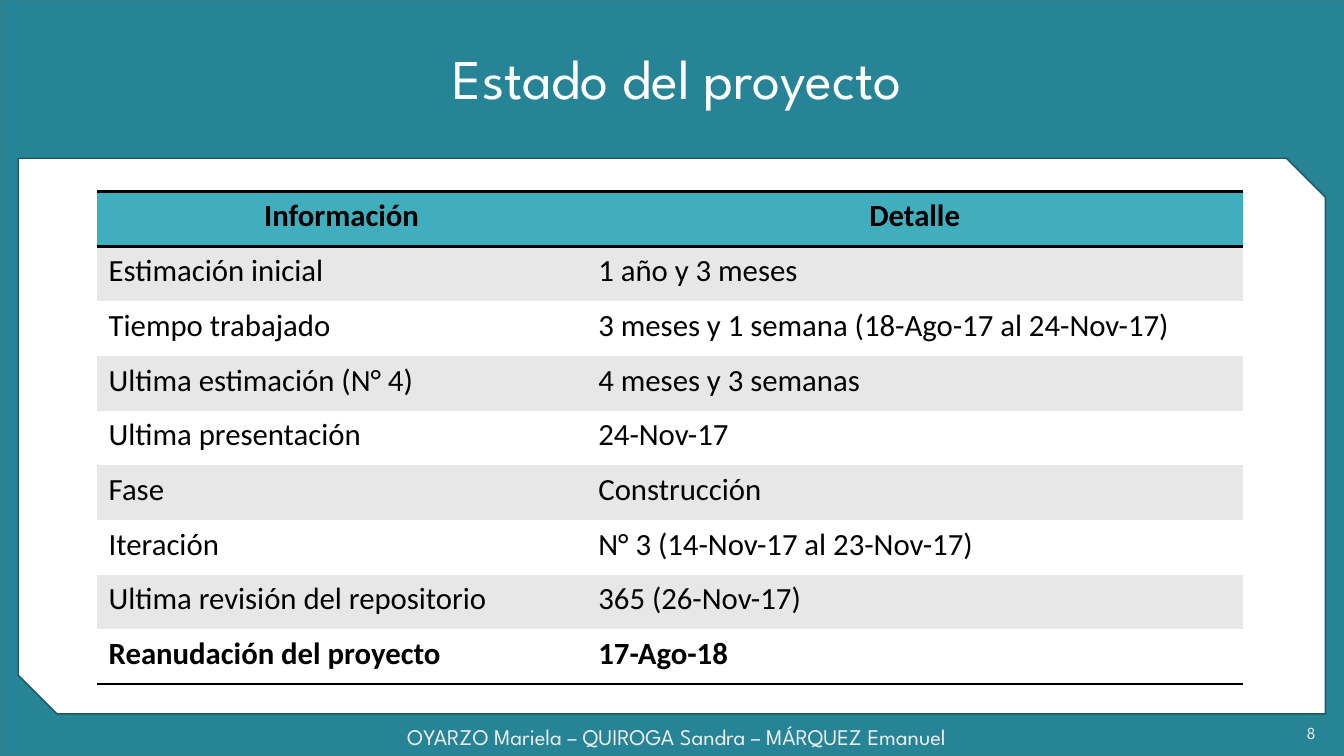
import dataclasses

import lxml.etree
import pptx
import pptx.dml.color
import pptx.enum.shapes
import pptx.enum.text
import pptx.oxml.ns
import pptx.util

Cm = pptx.util.Cm
Pt = pptx.util.Pt
qn = pptx.oxml.ns.qn
Align = pptx.enum.text.PP_ALIGN
Shape = pptx.enum.shapes.MSO_SHAPE


@dataclasses.dataclass(frozen=True)
class Theme:
    """Colours, fonts and type sizes of the slide."""
    page: str = "F2F2F2"
    backdrop: str = "268496"
    backdrop_line: str = "30818C"
    panel_line: str = "20575E"
    white: str = "FFFFFF"
    black: str = "000000"
    header: str = "41AEBD"
    band: str = "E7E7E7"
    fade: tuple = ((0, "9E9E9E"), (28, "EDEDED"), (100, "FFFFFF"))
    display_font: str = "League Spartan"
    table_font: str = "Calibri"
    title_size: int = 40
    table_size: int = 22
    footer_size: int = 16
    number_size: int = 12
    rule_width: int = 2


THEME = Theme()
NO_GRID_STYLE = "{2D5ABB26-0587-4C30-8999-92F81FD0307C}"
COLUMN_WIDTHS = (12.34, 16.54)
ROW_HEIGHT = 1.38
ROWS = (
    ("Información", "Detalle"),
    ("Estimación inicial", "1 año y 3 meses"),
    ("Tiempo trabajado", "3 meses y 1 semana (18-Ago-17 al 24-Nov-17)"),
    ("Ultima estimación (N° 4)", "4 meses y 3 semanas"),
    ("Ultima presentación", "24-Nov-17"),
    ("Fase", "Construcción"),
    ("Iteración", "N° 3 (14-Nov-17 al 23-Nov-17)"),
    ("Ultima revisión del repositorio", "365 (26-Nov-17)"),
    ("Reanudación del proyecto", "17-Ago-18"),
)


def rgb(value):
    """Turn a hex string into a colour."""
    return pptx.dml.color.RGBColor.from_string(value)


def paint(target, colour):
    """Give a shape, cell, line or font a solid fill."""
    target.fill.solid()
    target.fill.fore_color.rgb = rgb(colour)


def add_panel(page, kind, place, fill, line):
    """Add a filled, outlined preset shape."""
    panel = page.shapes.add_shape(kind, *map(Cm, place))
    panel.shadow.inherit = False
    paint(panel, fill)
    panel.line.color.rgb = rgb(line)
    panel.line.width = Pt(1)
    return panel


def style_text(frame, font, size, colour, align, bold=False):
    """Format the only paragraph of a text frame."""
    para = frame.paragraphs[0]
    para.alignment = align
    span = para.runs[0]
    span.font.name = font
    span.font.size = Pt(size)
    span.font.bold = bold
    paint(span.font, colour)
    return para


def add_text(page, place, text, size, align):
    """Add a vertically centred text box in the display font."""
    frame = page.shapes.add_textbox(*map(Cm, place)).text_frame
    frame.word_wrap = True
    frame.vertical_anchor = pptx.enum.text.MSO_ANCHOR.MIDDLE
    frame.text = text
    return style_text(frame, THEME.display_font, size, THEME.white, align)


def fade_text(para):
    """Replace the solid text colour by the vertical grey fade."""
    properties = para.runs[0].font._element
    solid = properties.find(qn("a:solidFill"))
    gradient = lxml.etree.Element(qn("a:gradFill"))
    stops = lxml.etree.SubElement(gradient, qn("a:gsLst"))
    for position, colour in THEME.fade:
        stop = lxml.etree.SubElement(stops, qn("a:gs"), pos=str(position * 1000))
        lxml.etree.SubElement(stop, qn("a:srgbClr"), val=colour)
    lxml.etree.SubElement(gradient, qn("a:lin"), ang="5400000", scaled="0")
    properties.replace(solid, gradient)


def add_rule(cell, side):
    """Draw a black border on one side of a cell."""
    border = lxml.etree.SubElement(cell._tc.get_or_add_tcPr(), qn(f"a:ln{side}"),
                                   w=str(Pt(THEME.rule_width)))
    fill = lxml.etree.SubElement(border, qn("a:solidFill"))
    lxml.etree.SubElement(fill, qn("a:srgbClr"), val=THEME.black)


def fill_cell(cell, text, row):
    """Write and format one cell according to its row."""
    is_header, is_last = row == 0, row == len(ROWS) - 1
    cell.text = text
    cell.margin_left = cell.margin_right = Cm(0.3)
    cell.margin_top = cell.margin_bottom = Cm(0.15)
    style_text(cell.text_frame, THEME.table_font, THEME.table_size, THEME.black,
               Align.CENTER if is_header else Align.LEFT, is_header or is_last)
    if is_header:
        add_rule(cell, "T")
    if is_header or is_last:
        add_rule(cell, "B")
    body = THEME.band if row % 2 else THEME.white
    paint(cell, THEME.header if is_header else body)


def add_status_table(page, left, top):
    """Add the banded project status table."""
    table = page.shapes.add_table(
        len(ROWS), len(COLUMN_WIDTHS), Cm(left), Cm(top),
        Cm(sum(COLUMN_WIDTHS)), Cm(ROW_HEIGHT * len(ROWS))).table
    table._tbl.tblPr.find(qn("a:tableStyleId")).text = NO_GRID_STYLE
    for column, width in zip(table.columns, COLUMN_WIDTHS):
        column.width = Cm(width)
    for row, texts in enumerate(ROWS):
        table.rows[row].height = Cm(ROW_HEIGHT)
        for column, text in enumerate(texts):
            fill_cell(table.cell(row, column), text, row)


def main():
    """Build and save the project status slide."""
    deck = pptx.Presentation()
    deck.slide_width, deck.slide_height = Cm(33.87), Cm(19.05)
    page = deck.slides.add_slide(deck.slide_layouts[6])
    paint(page.background, THEME.page)

    add_panel(page, Shape.RECTANGLE, (0, 0, 33.87, 19.05),
              THEME.backdrop, THEME.backdrop_line)
    panel = add_panel(page, Shape.SNIP_2_DIAG_RECTANGLE, (0.46, 3.99, 32.94, 14),
                      THEME.white, THEME.panel_line)
    panel.adjustments[0], panel.adjustments[1] = 0, 0.07

    title = add_text(page, (6.81, 0.2, 20.52, 3.68), "Estado del proyecto",
                     THEME.title_size, Align.CENTER)
    title.line_spacing = 0.9
    fade_text(add_text(page, (8.48, 18.06, 17.15, 0.99),
                       "OYARZO Mariela – QUIROGA Sandra – MÁRQUEZ Emanuel",
                       THEME.footer_size, Align.CENTER))
    fade_text(add_text(page, (28.63, 17.98, 4.78, 0.99), "8",
                       THEME.number_size, Align.RIGHT))
    add_status_table(page, 2.44, 4.83)
    deck.save("out.pptx")


main()
